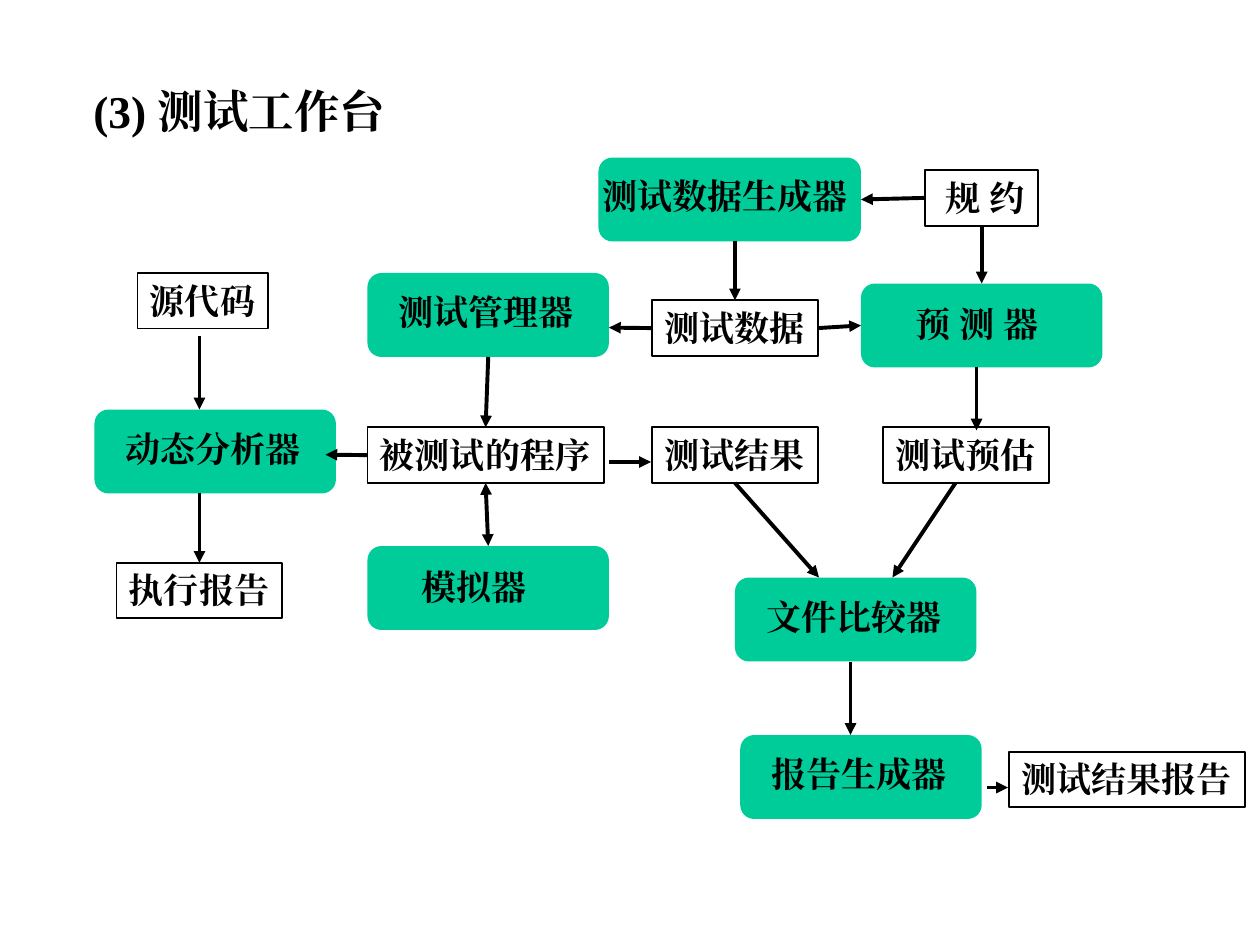
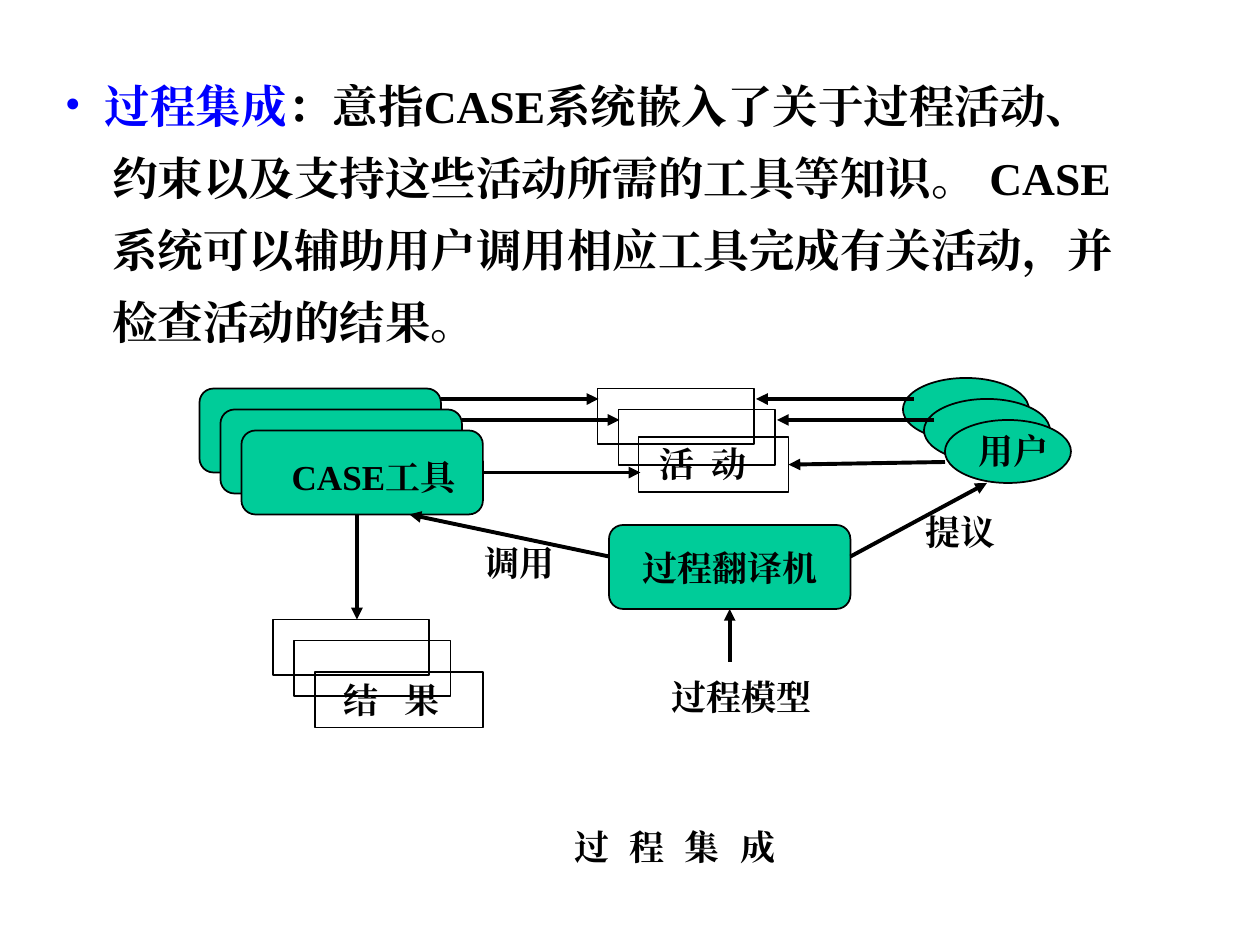
import pptx
import pptx.util
import pptx.dml.color
import pptx.enum.shapes
import pptx.enum.text
import pptx.oxml
import pptx.oxml.ns

PX = 7620  # EMU: 120 px to the inch
FONT = "Times New Roman"
COLOURS = {"ink": "000000", "tool": "00CC99", "term": "0000FF"}
SHAPE = pptx.enum.shapes.MSO_SHAPE
TOOL, DATA, USER = SHAPE.FLOWCHART_ALTERNATE_PROCESS, SHAPE.RECTANGLE, SHAPE.OVAL
TOP, LEFT, BOTTOM, RIGHT = range(4)
TOOL_SIZE = (230, 80)
DATA_HEIGHT = 53
STACK_STEP = 20


def colour(name):
    return pptx.dml.color.RGBColor.from_string(COLOURS[name])


def px(*lengths):
    return [pptx.util.Emu(length * PX) for length in lengths]


# ---- Text ----
def format_span(span, size, name="ink", spacing=0):
    span.font.size = pptx.util.Pt(size)
    span.font.bold = True
    span.font.name = FONT
    span.font.color.rgb = colour(name)
    properties = span.font._element
    east_asian = pptx.oxml.parse_xml(
        f'<a:ea {pptx.oxml.ns.nsdecls("a")} typeface="{FONT}"/>')
    properties.find(pptx.oxml.ns.qn("a:latin")).addnext(east_asian)
    if spacing:
        properties.set("spc", str(spacing))


def prepare_frame(frame, pad):
    frame.word_wrap = True
    frame.vertical_anchor = pptx.enum.text.MSO_ANCHOR.TOP
    frame.margin_left, frame.margin_top = px(*pad)
    frame.margin_right = frame.margin_bottom = 0


def write(frame, text, pad, size=20, spacing=0):
    prepare_frame(frame, pad)
    frame.text = text
    para = frame.paragraphs[0]
    para.alignment = pptx.enum.text.PP_ALIGN.LEFT
    format_span(para.runs[0], size, spacing=spacing)


def add_label(page, text, left, top, width, size=20, spacing=0):
    label = page.shapes.add_textbox(*px(left, top, width, DATA_HEIGHT))
    write(label.text_frame, text, (12, 6), size, spacing)


def add_definition(page, lines, left, top, width, height):
    """Bulleted statement whose first line is a term and its text."""
    frame = page.shapes.add_textbox(*px(left, top, width, height)).text_frame
    prepare_frame(frame, (12, 6))
    for number, spans in enumerate(lines):
        para = frame.add_paragraph() if number else frame.paragraphs[0]
        para.line_spacing = 0.8
        properties = para._p.get_or_add_pPr()
        if number:
            para.space_before = pptx.util.Pt(16.2)
            properties.set("marL", str(58 * PX))
        else:
            properties.set("marL", str(51 * PX))
            properties.set("indent", str(-38 * PX))
            properties.append(pptx.oxml.parse_xml(
                f'<a:buFont {pptx.oxml.ns.nsdecls("a")} typeface="{FONT}"/>'))
            properties.append(pptx.oxml.parse_xml(
                f'<a:buChar {pptx.oxml.ns.nsdecls("a")} char="•"/>'))
        for text, name in spans:
            span = para.add_run()
            span.text = text
            format_span(span, 26, name)


# ---- Boxes ----
def add_box(page, kind, left, top, width, height, outlined=True):
    box = page.shapes.add_shape(kind, *px(left, top, width, height))
    box.shadow.inherit = False
    if kind == DATA:
        box.fill.background()
    else:
        box.fill.solid()
        box.fill.fore_color.rgb = colour("tool")
    if outlined:
        box.line.color.rgb = colour("ink")
        box.line.width = pptx.util.Pt(1)
    else:
        box.line.fill.background()
    return box


def add_tool(page, text, left, top, width=230, pad=(26, 13)):
    box = add_box(page, TOOL, left, top, width, TOOL_SIZE[1], outlined=False)
    write(box.text_frame, text, pad)
    return box


def add_data(page, text, left, top, width, pad=(12, 6), spacing=0):
    box = add_box(page, DATA, left, top, width, DATA_HEIGHT)
    write(box.text_frame, text, pad, spacing=spacing)
    return box


def add_stack(page, kind, count, left, top, width, height):
    """Overlapping boxes, each one step right and down; returns the front one."""
    for step in range(0, count * STACK_STEP, STACK_STEP):
        front = add_box(page, kind, left + step, top + step, width, height)
    return front


# ---- Arrows ----
def add_arrow(page, start, end, both_ways=False):
    """Each end is a point (x, y) or a join (box, side)."""
    points = [(0, 0) if hasattr(place[0], "shape_type") else place
              for place in (start, end)]
    arrow = page.shapes.add_connector(
        pptx.enum.shapes.MSO_CONNECTOR.STRAIGHT, *px(*points[0], *points[1]))
    for place, connect in ((start, arrow.begin_connect), (end, arrow.end_connect)):
        if hasattr(place[0], "shape_type"):
            connect(*place)
    arrow.line.color.rgb = colour("ink")
    arrow.line.width = pptx.util.Pt(2.25)
    properties = arrow._element.spPr
    outline = properties.find(pptx.oxml.ns.qn("a:ln"))
    for tag in ("headEnd", "tailEnd") if both_ways else ("tailEnd",):
        outline.append(pptx.oxml.parse_xml(
            f'<a:{tag} {pptx.oxml.ns.nsdecls("a")} type="triangle"/>'))
    properties.append(pptx.oxml.parse_xml(
        f'<a:effectLst {pptx.oxml.ns.nsdecls("a")}/>'))


# ---- Slides ----
def build_workbench(page):
    add_label(page, "(3) 测试工作台", 77, 73, 400, size=26)

    # Tools
    generator = add_tool(page, "测试数据生成器", 570, 150, 250, (0, 12))
    predictor = add_tool(page, "预 测 器", 820, 270, pad=(48, 14))
    manager = add_tool(page, "测试管理器", 350, 260)
    simulator = add_tool(page, "模拟器", 350, 520, pad=(48, 15))
    add_tool(page, "动态分析器", 90, 390)
    add_tool(page, "文件比较器", 700, 550)
    add_tool(page, "报告生成器", 705, 700)

    # Data
    contract = add_data(page, "规 约", 881, 162, 108, (20, 6))
    test_data = add_data(page, "测试数据", 621, 286, 158)
    result = add_data(page, "测试结果", 621, 407, 158)
    program = add_data(page, "被测试的程序", 350, 407, 225)
    run_report = add_data(page, "执行报告", 111, 536, 158)
    add_data(page, "测试预估", 841, 407, 158)
    add_data(page, "源代码", 131, 260, 124)
    add_data(page, "测试结果报告", 961, 716, 225)

    # Flow
    for start, end in (
        ((contract, LEFT), (generator, RIGHT)),
        ((contract, BOTTOM), (predictor, TOP)),
        ((700, 230), (test_data, TOP)),
        ((test_data, LEFT), (580, 312)),
        ((test_data, RIGHT), (predictor, LEFT)),
        ((930, 350), (930, 410)),
        ((result, BOTTOM), (780, 550)),
        ((910, 460), (850, 550)),
        ((810, 630), (810, 700)),
        ((940, 750), (960, 750)),
        ((manager, BOTTOM), (program, TOP)),
        ((580, 440), (620, 440)),
        ((program, LEFT), (310, 433)),
        ((190, 320), (190, 390)),
        ((190, 470), (run_report, TOP)),
    ):
        add_arrow(page, start, end)
    add_arrow(page, (program, BOTTOM), (simulator, TOP), both_ways=True)


def build_process_integration(page):
    add_definition(page, [
        [("过程集成", "term"), ("：意指CASE系统嵌入了关于过程活动、", "ink")],
        [("约束以及支持这些活动所需的工具等知识。 CASE", "ink")],
        [("系统可以辅助用户调用相应工具完成有关活动，并", "ink")],
        [("检查活动的结果。", "ink")],
    ], 37, 78, 1157, 260)

    # Stacks
    case_tool = add_stack(page, TOOL, 3, 190, 370, *TOOL_SIZE)
    write(case_tool.text_frame, "CASE工具", (44, 20))
    user = add_stack(page, USER, 3, 860, 360, 120, 60)
    write(user.text_frame, "用户", (14, 0))
    add_stack(page, DATA, 2, 569, 370, 149, DATA_HEIGHT)
    activity = add_data(page, "活 动", 608, 416, 143, (20, 6), spacing=250)
    add_stack(page, DATA, 2, 260, 590, 149, DATA_HEIGHT)
    add_data(page, "结 果", 300, 640, 160, (27, 6), spacing=500)

    # Process interpreter
    interpreter = add_box(page, TOOL, 580, 500, *TOOL_SIZE)
    write(interpreter.text_frame, "过程翻译机", (28, 17))

    # Flow
    for step in (0, STACK_STEP):
        add_arrow(page, (420 + step, 380 + step), (570 + step, 380 + step))
        add_arrow(page, (870 + step, 380 + step), (720 + step, 380 + step))
    for start, end in (
        ((case_tool, RIGHT), (610, 450)),
        ((900, 440), (activity, RIGHT)),
        ((340, 490), (340, 590)),
        ((580, 530), (390, 490)),
        ((810, 530), (940, 460)),
        ((695, 630), (interpreter, BOTTOM)),
    ):
        add_arrow(page, start, end)

    # Labels
    add_label(page, "提议", 870, 480, 100)
    add_label(page, "调用", 450, 510, 100)
    add_label(page, "过程模型", 628, 637, 170)
    add_label(page, "过 程 集 成", 535, 780, 240, spacing=330)


def main():
    deck = pptx.Presentation()
    deck.slide_width, deck.slide_height = px(1200, 900)
    for build in (build_workbench, build_process_integration):
        build(deck.slides.add_slide(deck.slide_layouts[6]))
    deck.save("out.pptx")


if __name__ == "__main__":
    main()
